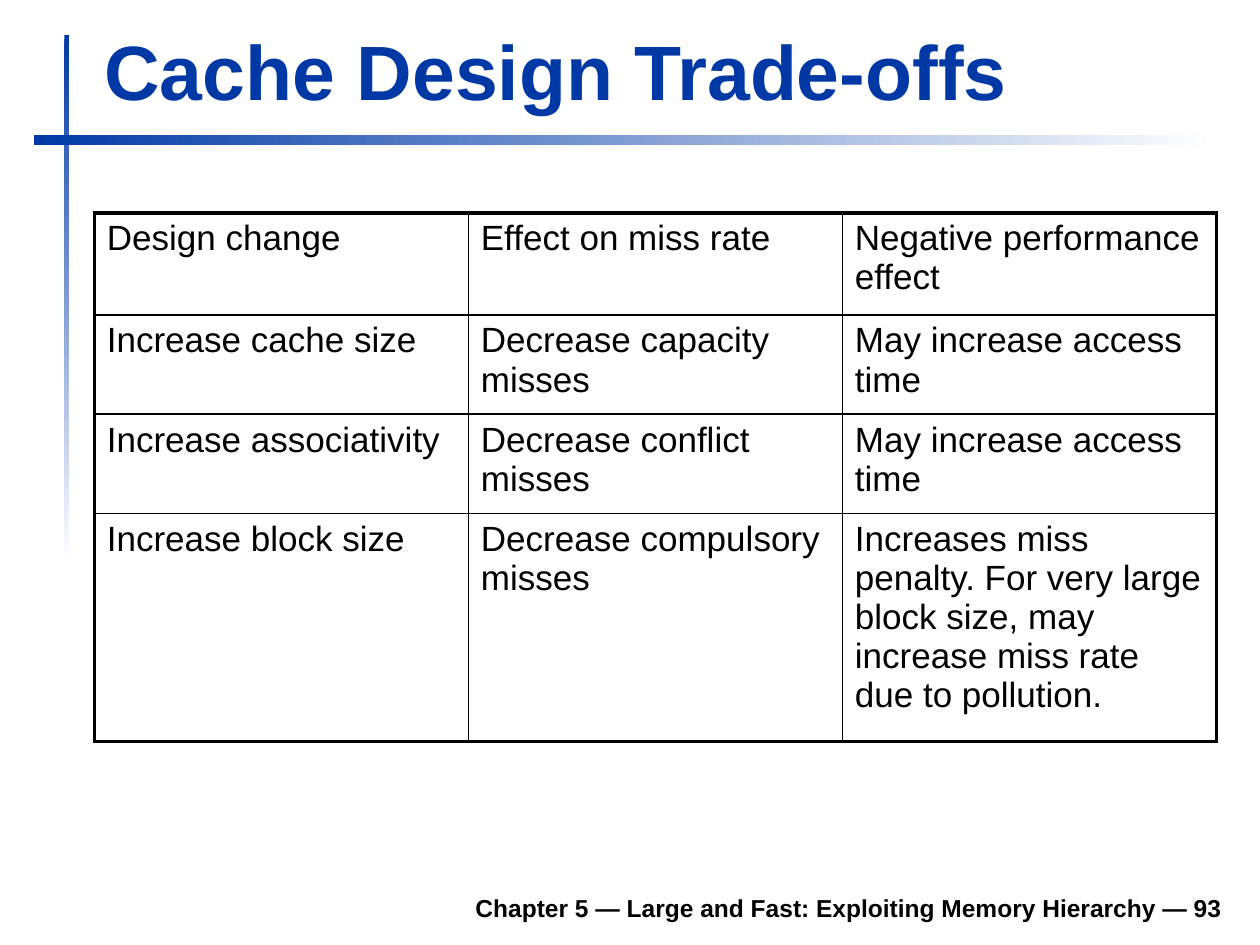
"""Build the cache design trade-offs slide."""
from typing import NamedTuple

from lxml.etree import SubElement
from pptx import Presentation
from pptx.dml.color import RGBColor
from pptx.enum.shapes import MSO_SHAPE
from pptx.enum.text import MSO_ANCHOR, MSO_AUTO_SIZE, PP_ALIGN
from pptx.oxml.ns import qn
from pptx.util import Cm, Pt

COLORS = {"blue": "0039A6", "white": "FFFFFF", "black": "000000"}
OUTER, HEADER, INNER = 2.25, 1.5, 1
COL_WIDTH = 7.54
ROW_HEIGHTS = [2.06, 2, 2, 4.6]
ROWS = [
    ("Design change", "Effect on miss rate", "Negative performance effect"),
    ("Increase cache size", "Decrease capacity misses", "May increase access time"),
    ("Increase associativity", "Decrease conflict misses", "May increase access time"),
    ("Increase block size", "Decrease compulsory misses",
     "Increases miss penalty. For very large block size, "
     "may increase miss rate due to pollution."),
]


class Bar(NamedTuple):
    left: float
    top: float
    width: float
    height: float
    angle: int


BARS = [Bar(1.3, 0.71, 0.1, 10.59, 270), Bar(0.69, 2.72, 23.8, 0.2, 0)]


def rgb(name: str) -> RGBColor:
    return RGBColor.from_string(COLORS[name])


def write(tf, text: str, *, size: float, color: str = "black", bold: bool = False,
          align=PP_ALIGN.LEFT, anchor=None) -> None:
    tf.word_wrap = True
    if anchor is not None:
        tf.vertical_anchor = anchor
    p = tf.paragraphs[0]
    p.alignment = align
    r = p.add_run()
    r.text = text
    r.font.name = "Arial"
    r.font.size = Pt(size)
    r.font.bold = bold
    r.font.color.rgb = rgb(color)


def add_bar(s, bar: Bar) -> None:
    sp = s.shapes.add_shape(MSO_SHAPE.RECTANGLE, *map(Cm, bar[:4]))
    sp.shadow.inherit = False
    sp.line.fill.background()
    sp.fill.gradient()
    sp.fill.gradient_angle = bar.angle
    for stop, position, color in zip(sp.fill.gradient_stops, (0, 1), ("blue", "white")):
        stop.position = position
        stop.color.rgb = rgb(color)


def set_borders(cell, widths: dict[str, float]) -> None:
    tc_pr = cell._tc.get_or_add_tcPr()
    for side, width in widths.items():
        ln = SubElement(tc_pr, qn(f"a:ln{side}"), w=str(Pt(width)))
        fill = SubElement(ln, qn("a:solidFill"))
        SubElement(fill, qn("a:srgbClr"), val=COLORS["black"])
    cell.fill.background()


def add_grid(s) -> None:
    n_rows, n_cols = len(ROWS), len(ROWS[0])
    table = s.shapes.add_table(n_rows, n_cols, Cm(1.9), Cm(4.29),
                               Cm(COL_WIDTH * n_cols), Cm(sum(ROW_HEIGHTS))).table
    table.first_row = table.horz_banding = False
    for col in table.columns:
        col.width = Cm(COL_WIDTH)
    across = [OUTER, HEADER] + [INNER] * (n_rows - 2) + [OUTER]
    down = [OUTER] + [INNER] * (n_cols - 1) + [OUTER]
    for i, row in enumerate(ROWS):
        table.rows[i].height = Cm(ROW_HEIGHTS[i])
        for j, text in enumerate(row):
            cell = table.cell(i, j)
            write(cell.text_frame, text, size=20)
            set_borders(cell, {"L": down[j], "R": down[j + 1],
                               "T": across[i], "B": across[i + 1]})


def main() -> None:
    prs = Presentation()
    prs.slide_width, prs.slide_height = Cm(25.4), Cm(19.05)
    s = prs.slides.add_slide(prs.slide_layouts[5])
    for bar in BARS:
        add_bar(s, bar)
    footer = s.shapes.add_textbox(Cm(4.7), Cm(17.73), Cm(20.19), Cm(0.99))
    write(footer.text_frame, "Chapter 5 — Large and Fast: Exploiting Memory Hierarchy — 93",
          size=14, bold=True, align=PP_ALIGN.RIGHT, anchor=MSO_ANCHOR.BOTTOM)
    title = s.shapes.title
    title.left, title.top, title.width, title.height = map(Cm, (1.85, 0.33, 21.64, 2.13))
    title.text_frame.auto_size = MSO_AUTO_SIZE.SHAPE_TO_FIT_TEXT
    write(title.text_frame, "Cache Design Trade-offs", size=44, color="blue",
          bold=True, anchor=MSO_ANCHOR.BOTTOM)
    add_grid(s)
    prs.save("out.pptx")


main()
